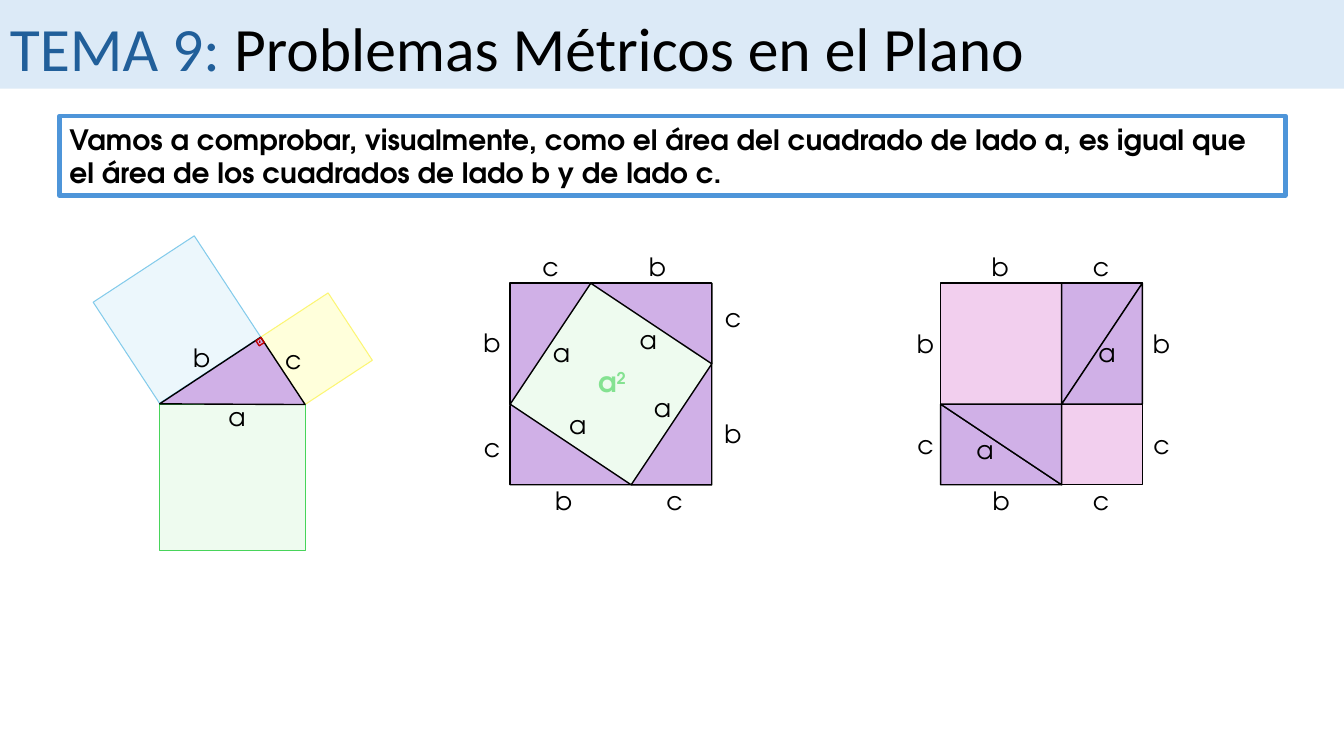
"""Build a slide that shows the Pythagorean theorem by rearranging triangles."""
from dataclasses import dataclass

from pptx import Presentation
from pptx.dml.color import RGBColor
from pptx.enum import shapes, text
from pptx.util import Inches, Pt


@dataclass(frozen=True)
class Theme:
    font: str = "TeX Gyre Adventor"
    title_font: str = "Calibri"
    ink: str = "000000"
    band: str = "DCEAF7"
    title: str = "215F9A"
    frame: str = "4E95D9"
    red: str = "C00000"
    green: str = "EEFBEF"
    green_line: str = "47D45A"
    green_text: str = "84E291"
    grey: str = "E8E8E8"
    blue: str = "ECF7FC"
    blue_line: str = "83CBEB"
    yellow: str = "FFFFDB"
    yellow_line: str = "FCF674"
    pink: str = "F2CFEE"
    purple: str = "D0B0E7"
    title_size: int = 44
    body_size: int = 20
    label_size: int = 18
    dot_size: int = 14


T = Theme()
SIDE, B, C, A = 2, 1.2, 0.8, 1.45
RECT = shapes.MSO_SHAPE.RECTANGLE
TRIANGLE = shapes.MSO_SHAPE.ISOSCELES_TRIANGLE

prs = Presentation()
prs.slide_width, prs.slide_height = Inches(13.33), Inches(7.5)
s = prs.slides.add_slide(prs.slide_layouts[6])


def add_figure(kind, cx, cy, w, h, fill=None, line=None, weight=1, angle=0):
    """Add a preset shape around its centre."""
    sp = s.shapes.add_shape(kind, Inches(cx - w / 2), Inches(cy - h / 2), Inches(w), Inches(h))
    sp.shadow.inherit = False
    sp.rotation = angle
    if kind == TRIANGLE:
        sp.adjustments[0] = 0
    if fill:
        sp.fill.solid()
        sp.fill.fore_color.rgb = RGBColor.from_string(fill)
    else:
        sp.fill.background()
    if line:
        sp.line.color.rgb = RGBColor.from_string(line)
        sp.line.width = Pt(weight)
    else:
        sp.line.fill.background()
    return sp


def add_runs(sp, runs, size, font=T.font, bold=False, align=text.PP_ALIGN.CENTER):
    """Write coloured runs into the first paragraph of a shape."""
    p = sp.text_frame.paragraphs[0]
    p.alignment = align
    for words, color in runs:
        r = p.add_run()
        r.text = words
        r.font.name, r.font.size, r.font.bold = font, Pt(size), bold
        r.font.color.rgb = RGBColor.from_string(color)
    return p


band = add_figure(RECT, 6.665, 0.44, 13.33, 0.88, T.band)
band.text_frame.vertical_anchor = text.MSO_ANCHOR.BOTTOM
add_runs(band, [("TEMA 9: ", T.title), ("Problemas Métricos en el Plano", T.ink)],
         T.title_size, T.title_font, align=text.PP_ALIGN.LEFT)

statement = add_figure(RECT, 6.67, 1.545, 12.16, 0.79, line=T.frame, weight=3)
add_runs(statement, [("Vamos a comprobar, visualmente, como el área del cuadrado de lado a, "
                      "es igual que el área de los cuadrados de lado b y de lado c.", T.ink)],
         T.body_size, bold=True, align=text.PP_ALIGN.LEFT)

for cx, cy, side, fill, line, angle in [
    (3.14, 3.46, C, T.yellow, T.yellow_line, 326.7),
    (2.305, 4.735, A, T.green, T.green_line, 0),
    (1.755, 3.17, B, T.blue, T.blue_line, 326.7),
]:
    add_figure(RECT, cx, cy, side, side, fill, line, 0.75, angle)
add_figure(TRIANGLE, 2.305, 4.01, B, C, T.purple, T.ink, angle=146.6)
add_figure(RECT, 2.58, 3.39, 0.06, 0.06, line=T.red, angle=57)

TOP, MIDDLE_X, RIGHT_X = 2.81, 5.06, 9.33
for left in (MIDDLE_X, RIGHT_X):
    add_figure(RECT, left + SIDE / 2, TOP + SIDE / 2, SIDE, SIDE, T.pink, T.ink)
add_figure(RECT, MIDDLE_X + SIDE / 2, TOP + SIDE / 2, A, A, T.green, T.grey, 0.75, 33)

for left, dx, dy, angle in [
    (MIDDLE_X, B / 2, SIDE - C / 2, 0),
    (MIDDLE_X, C / 2, B / 2, 90),
    (MIDDLE_X, SIDE - B / 2, C / 2, 180),
    (MIDDLE_X, SIDE - C / 2, SIDE - B / 2, 270),
    (RIGHT_X, B / 2, SIDE - C / 2, 0),
    (RIGHT_X, B / 2, SIDE - C / 2, 180),
    (RIGHT_X, SIDE - C / 2, B / 2, 90),
    (RIGHT_X, SIDE - C / 2, B / 2, 270),
]:
    add_figure(TRIANGLE, left + dx, TOP + dy, B, C, T.purple, T.ink, angle=angle)

label_places = {
    "a": [(2.1, 3.93), (5.32, 3.3), (6.18, 3.17), (6.32, 3.84), (5.48, 4.01),
          (9.52, 4.26), (10.73, 3.3)],
    "b": [(1.75, 3.35), (4.63, 3.2), (6.27, 2.44), (7.02, 4.1), (5.34, 4.77),
          (9.68, 4.77), (9.67, 2.44), (8.93, 3.21), (11.27, 3.21)],
    "c": [(2.66, 3.37), (5.21, 2.44), (7.02, 2.95), (6.44, 4.77), (4.63, 4.24),
          (8.93, 4.21), (10.67, 2.44), (10.67, 4.77), (11.27, 4.21)],
}
for letter, places in label_places.items():
    for x, y in places:
        label = s.shapes.add_textbox(Inches(x), Inches(y), Inches(0.5), Inches(0.4))
        label.text_frame.word_wrap = True
        add_runs(label, [(letter, T.ink)], T.label_size)

area = s.shapes.add_textbox(Inches(5.82), Inches(3.57), Inches(0.5), Inches(0.44))
area.text_frame.word_wrap = True
p = add_runs(area, [("a", T.green_text), ("2", T.green_text)], T.body_size, bold=True)
p.runs[1]._r.get_or_add_rPr().set("baseline", "30000")

dot = s.shapes.add_textbox(Inches(2.55), Inches(3.16), Inches(0.05), Inches(0.34))
dot.text_frame.word_wrap = False
add_runs(dot, [(".", T.red)], T.dot_size)

prs.save("out.pptx")
